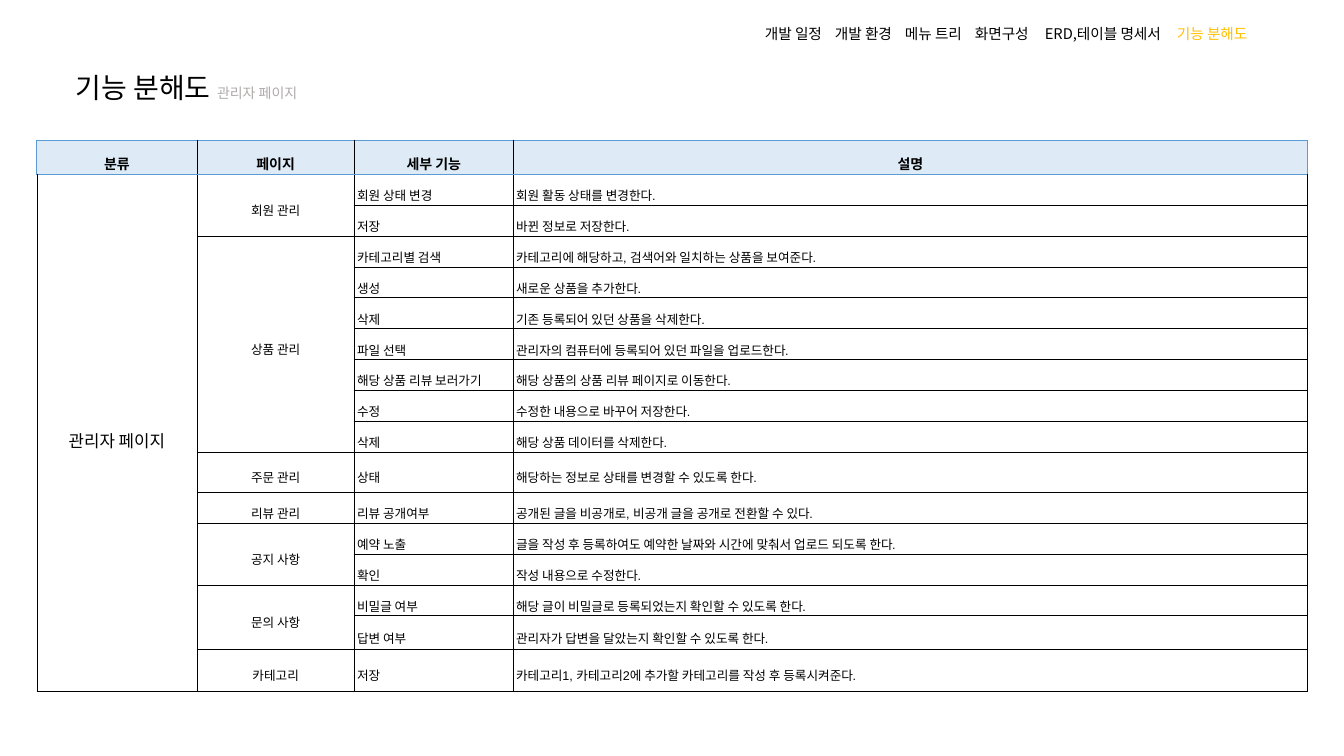
from lxml import etree
from pptx import Presentation
from pptx.dml.color import RGBColor
from pptx.enum.text import MSO_ANCHOR, MSO_AUTO_SIZE, PP_ALIGN
from pptx.oxml.ns import qn
from pptx.util import Pt

CENTER, JUSTIFY = PP_ALIGN.CENTER, PP_ALIGN.JUSTIFY
TOP, MIDDLE, BOTTOM = MSO_ANCHOR.TOP, MSO_ANCHOR.MIDDLE, MSO_ANCHOR.BOTTOM
FIT_SHAPE = MSO_AUTO_SIZE.SHAPE_TO_FIT_TEXT
COLORS = {"ink": "000000", "muted": "AFABAB", "active": "FFC000",
          "header": "DEEBF7", "accent": "5B9BD5"}
KOREAN, LATIN = "Noto Sans CJK KR", "Arial"

TITLE = [("기능 분해도 ", 20, "ink"), ("관리자 페이지", 10, "muted")]
MENU = ["개발 일정", "개발 환경", "메뉴 트리", "화면구성", "ERD,테이블 명세서", "기능 분해도"]
MENU_STOPS = [50, 100, 150, 200, 294.3]
HEADERS = ["분류", "페이지", "세부 기능", "설명"]
CATEGORY = "관리자 페이지"
PAGES = [
    ("회원 관리", [
        ("회원 상태 변경", "회원 활동 상태를 변경한다."),
        ("저장", "바뀐 정보로 저장한다.")]),
    ("상품 관리", [
        ("카테고리별 검색", "카테고리에 해당하고, 검색어와 일치하는 상품을 보여준다."),
        ("생성", "새로운 상품을 추가한다."),
        ("삭제", "기존 등록되어 있던 상품을 삭제한다."),
        ("파일 선택", "관리자의 컴퓨터에 등록되어 있던 파일을 업로드한다."),
        ("해당 상품 리뷰 보러가기", "해당 상품의 상품 리뷰 페이지로 이동한다."),
        ("수정", "수정한 내용으로 바꾸어 저장한다."),
        ("삭제", "해당 상품 데이터를 삭제한다.")]),
    ("주문 관리", [("상태", "해당하는 정보로 상태를 변경할 수 있도록 한다.")]),
    ("리뷰 관리", [("리뷰 공개여부", "공개된 글을 비공개로, 비공개 글을 공개로 전환할 수 있다.")]),
    ("공지 사항", [
        ("예약 노출", "글을 작성 후 등록하여도 예약한 날짜와 시간에 맞춰서 업로드 되도록 한다."),
        ("확인", "작성 내용으로 수정한다.")]),
    ("문의 사항", [
        ("비밀글 여부", "해당 글이 비밀글로 등록되었는지 확인할 수 있도록 한다."),
        ("답변 여부", "관리자가 답변을 달았는지 확인할 수 있도록 한다.")]),
    ("카테고리", [("저장", "카테고리1, 카테고리2에 추가할 카테고리를 작성 후 등록시켜준다.")]),
]
COL_WIDTHS = [114.4, 112.4, 113.6, 567.2]
ROW_HEIGHTS = [24.3] + [22.08] * 9 + [28.6] + [22.1] * 4 + [23.6, 30]


def add_run(p, text, size, color, font=KOREAN, bold=False):
    r = p.add_run()
    r.text = text
    r.font.size, r.font.bold, r.font.name = Pt(size), bold, font
    r.font.color.rgb = RGBColor.from_string(COLORS[color])


def add_box(s, left, top, width, height, anchor):
    tf = s.shapes.add_textbox(Pt(left), Pt(top), Pt(width), Pt(height)).text_frame
    tf.word_wrap, tf.vertical_anchor = True, anchor
    return tf


def write_cell(cell, text, size, align, bold=False):
    p = cell.text_frame.paragraphs[0]
    p.alignment, p.line_spacing = align, 1.6
    add_run(p, text, size, "ink", LATIN, bold)


def set_borders(cell, accented):
    tc_pr = cell._tc.get_or_add_tcPr()
    for i, side in enumerate("LRTB"):
        color, width = ("accent", 1) if side in accented else ("ink", 0.28)
        line = etree.Element(qn(f"a:ln{side}"), w=str(int(Pt(width))))
        fill = etree.SubElement(line, qn("a:solidFill"))
        etree.SubElement(fill, qn("a:srgbClr"), val=COLORS[color])
        tc_pr.insert(i, line)


def add_title(s):
    p = add_box(s, 46.8, 34.6, 243.4, 43.9, BOTTOM).paragraphs[0]
    p.line_spacing = 0.9
    for text, size, color in TITLE:
        add_run(p, text, size, color)


def add_menu(s):
    tf = add_box(s, 539.3, 14.4, 394.6, 20.2, TOP)
    tf.auto_size = FIT_SHAPE
    p = tf.paragraphs[0]
    tabs = etree.SubElement(p._p.get_or_add_pPr(), qn("a:tabLst"))
    for stop in MENU_STOPS:
        etree.SubElement(tabs, qn("a:tab"), pos=str(int(Pt(stop))), algn="l")
    add_run(p, "\t".join(MENU[:-1]) + "\t", 10.5, "ink")
    add_run(p, MENU[-1], 10.5, "active")


def style_cells(table):
    last = len(COL_WIDTHS) - 1
    for row in range(len(ROW_HEIGHTS)):
        for col in range(len(COL_WIDTHS)):
            cell = table.cell(row, col)
            cell.vertical_anchor = MIDDLE
            cell.margin_left = cell.margin_right = Pt(2)
            cell.margin_top = cell.margin_bottom = Pt(0.7)
            accented = "T" if row == 1 else ""
            if row == 0:
                cell.fill.solid()
                cell.fill.fore_color.rgb = RGBColor.from_string(COLORS["header"])
                accented = "TB" + ("L" if col == 0 else "") + ("R" if col == last else "")
            else:
                cell.fill.background()
            set_borders(cell, accented)


def add_function_table(s):
    table = s.shapes.add_table(len(ROW_HEIGHTS), len(COL_WIDTHS), Pt(26.3), Pt(100.1),
                               Pt(sum(COL_WIDTHS)), Pt(sum(ROW_HEIGHTS))).table
    table.first_row = table.horz_banding = False
    for column, width in zip(table.columns, COL_WIDTHS):
        column.width = Pt(width)
    for row, height in zip(table.rows, ROW_HEIGHTS):
        row.height = Pt(height)
    style_cells(table)
    for col, text in enumerate(HEADERS):
        write_cell(table.cell(0, col), text, 10, CENTER, True)
    table.cell(1, 0).merge(table.cell(len(ROW_HEIGHTS) - 1, 0))
    write_cell(table.cell(1, 0), CATEGORY, 12, CENTER)
    row = 1
    for page, functions in PAGES:
        if len(functions) > 1:
            table.cell(row, 1).merge(table.cell(row + len(functions) - 1, 1))
        write_cell(table.cell(row, 1), page, 9, CENTER)
        for function, description in functions:
            write_cell(table.cell(row, 2), function, 9, JUSTIFY)
            write_cell(table.cell(row, 3), description, 9, JUSTIFY)
            row += 1


def main():
    """Build the admin page function breakdown slide."""
    prs = Presentation()
    prs.slide_width, prs.slide_height = Pt(960), Pt(540)
    s = prs.slides.add_slide(prs.slide_layouts[6])
    add_title(s)
    add_function_table(s)
    add_menu(s)
    prs.save("out.pptx")


if __name__ == "__main__":
    main()
